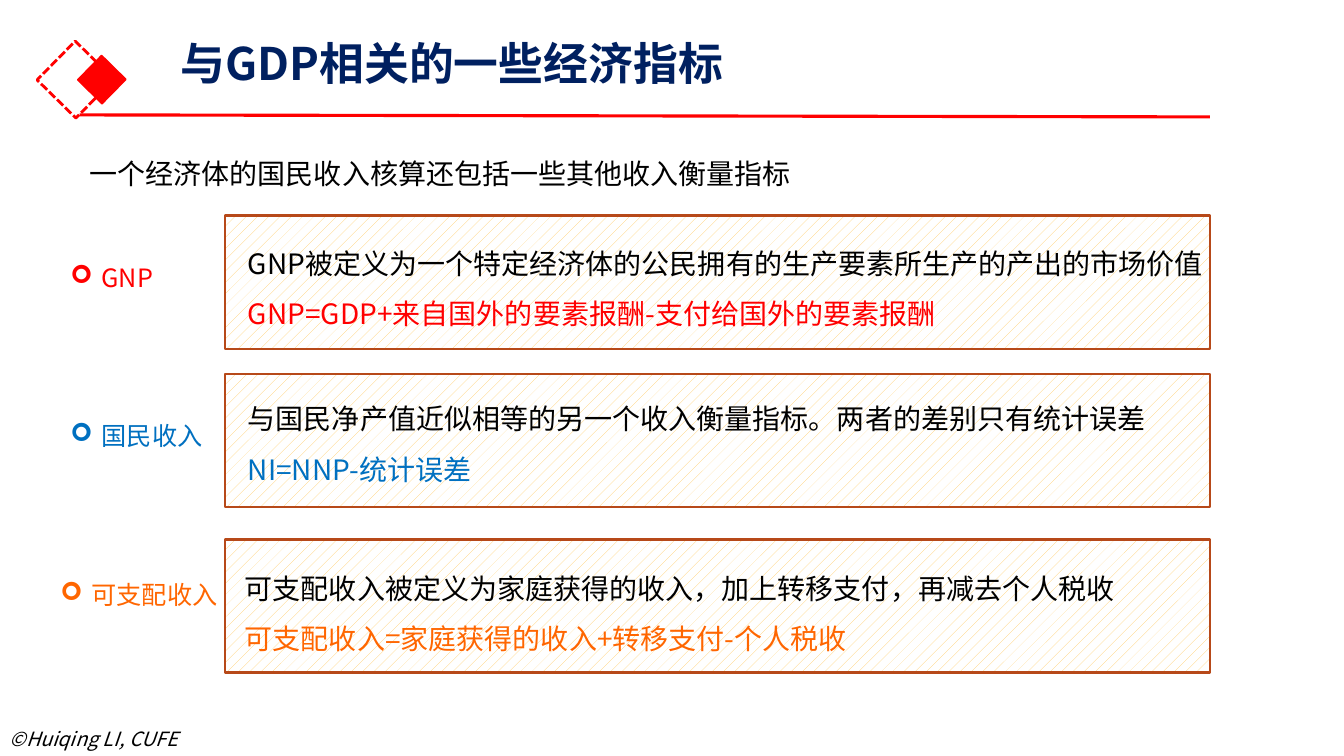
from lxml import etree
from pptx import Presentation
from pptx.dml.color import RGBColor
from pptx.enum import dml, shapes, text
from pptx.oxml import ns
from pptx.util import Inches, Pt

FONT = "Noto Sans CJK SC"
BLACK = RGBColor(0x00, 0x00, 0x00)
WHITE = RGBColor(0xFF, 0xFF, 0xFF)
RED = RGBColor(0xFF, 0x00, 0x00)
NAVY = RGBColor(0x00, 0x20, 0x60)
BLUE = RGBColor(0x00, 0x70, 0xC0)
ORANGE = RGBColor(0xFF, 0x66, 0x00)
BROWN = RGBColor(0xB7, 0x49, 0x19)
SAND = RGBColor(0xFF, 0xCC, 0x66)

# label, label (left, top, width), wrap, panel top, text (left, top, height),
# definition, formula, colour
INDICATORS = [
    ("GNP", (0.6, 2.55, 2.23), True, 2.14, (2.36, 2.23, 1.11),
     "GNP被定义为一个特定经济体的公民拥有的生产要素所生产的产出的市场价值",
     "GNP=GDP+来自国外的要素报酬-支付给国外的要素报酬", RED),
    ("国民收入", (0.6, 4.12, 1.53), False, 3.71, (2.36, 3.77, 1.11),
     "与国民净产值近似相等的另一个收入衡量指标。两者的差别只有统计误差",
     "NI=NNP-统计误差", BLUE),
    ("可支配收入", (0.5, 5.7, 1.78), False, 5.35, (2.33, 5.45, 1.05),
     "可支配收入被定义为家庭获得的收入，加上转移支付，再减去个人税收",
     "可支配收入=家庭获得的收入+转移支付-个人税收", ORANGE),
]


def style(para, size, color, bold=False, italic=False):
    font = para.font
    font.name, font.size = FONT, Pt(size)
    font.bold, font.italic = bold, italic
    font.color.rgb = color
    # East Asian typeface follows the Latin one
    defaults = para._p.pPr.find(ns.qn("a:defRPr"))
    latin = defaults.find(ns.qn("a:latin"))
    east_asian = etree.Element(ns.qn("a:ea"), typeface=FONT)
    latin.addnext(east_asian)


def add_text(page, place, lines, size, spacing=None, wrap=True, italic=False):
    box = page.shapes.add_textbox(*map(Inches, place))
    frame = box.text_frame
    frame.word_wrap = wrap
    frame.text = "\n".join(line for line, _ in lines)
    for para, (_, color) in zip(frame.paragraphs, lines):
        para.line_spacing = spacing
        style(para, size, color, italic=italic)
    return box


def add_label(page, place, wrap, label, color):
    left, top, width = place
    box = page.shapes.add_textbox(*map(Inches, (left, top, width, 0.4)))
    box.text_frame.word_wrap = wrap
    para = box.text_frame.paragraphs[0]
    para.text = label
    properties = para._p.get_or_add_pPr()
    properties.set("marL", str(Inches(0.31)))
    properties.set("indent", str(Inches(-0.31)))
    etree.SubElement(properties, ns.qn("a:buFont"), typeface="Wingdings")
    etree.SubElement(properties, ns.qn("a:buChar"), char="➢")
    style(para, 18, color)


def add_rectangle(page, place, line_color, line_width):
    shape = page.shapes.add_shape(shapes.MSO_SHAPE.RECTANGLE, *map(Inches, place))
    shape.shadow.inherit = False
    shape.fill.background()
    shape.line.color.rgb = line_color
    shape.line.width = Pt(line_width)
    return shape


def add_panel(page, top):
    fill = add_rectangle(page, (2.23, top, 9.77, 1.32), BROWN, 1.75).fill
    fill.patterned()
    fill.pattern = dml.MSO_PATTERN.PERCENT_10
    fill.fore_color.rgb = SAND
    fill.back_color.rgb = WHITE


def add_diamonds(page):
    dashed = add_rectangle(page, (0.48, 0.52, 0.54, 0.54), RED, 2)
    dashed.line.dash_style = dml.MSO_LINE.SQUARE_DOT
    solid = add_rectangle(page, (0.84, 0.62, 0.34, 0.34), RED, 1)
    solid.fill.solid()
    solid.fill.fore_color.rgb = RED
    for diamond in (dashed, solid):
        diamond.rotation = 314.5


def add_rule(page):
    rule = page.shapes.add_connector(
        shapes.MSO_CONNECTOR.STRAIGHT, *map(Inches, (0.79, 1.14, 12, 1.16)))
    rule.line.color.rgb = RED
    rule.line.width = Pt(2.25)
    etree.SubElement(rule._element.spPr, ns.qn("a:effectLst"))


def set_title(page, wording):
    title = page.shapes.title
    title.left, title.top, title.width, title.height = map(
        Inches, (1.69, 0.41, 11.5, 0.95))
    frame = title.text_frame
    frame.text = wording
    frame.vertical_anchor = text.MSO_ANCHOR.TOP
    frame.margin_top = 0
    para = frame.paragraphs[0]
    para.alignment = text.PP_ALIGN.LEFT
    para.line_spacing = 0.9
    style(para, 32, NAVY, bold=True)


def main():
    deck = Presentation()
    deck.slide_width, deck.slide_height = Inches(13.33), Inches(7.5)
    page = deck.slides.add_slide(deck.slide_layouts.get_by_name("Title Only"))

    # Heading and footer
    set_title(page, "与GDP相关的一些经济指标")
    add_diamonds(page)
    add_rule(page)
    add_text(page, (0, 7.16, 1.96, 0.34), [("©Huiqing LI, CUFE", BLACK)], 14,
             wrap=False, italic=True)

    # Introduction
    add_text(page, (0.79, 1.34, 10.01, 0.55),
             [("一个经济体的国民收入核算还包括一些其他收入衡量指标", BLACK)], 20, 1.5)

    # Indicators: panel, definition with formula, label
    for (label, label_place, wrap, panel_top, (left, top, height),
         definition, formula, color) in INDICATORS:
        add_panel(page, panel_top)
        add_text(page, (left, top, 9.78, height),
                 [(definition, BLACK), (formula, color)], 20, 1.5)
        add_label(page, label_place, wrap, label, color)

    deck.save("out.pptx")


if __name__ == "__main__":
    main()
